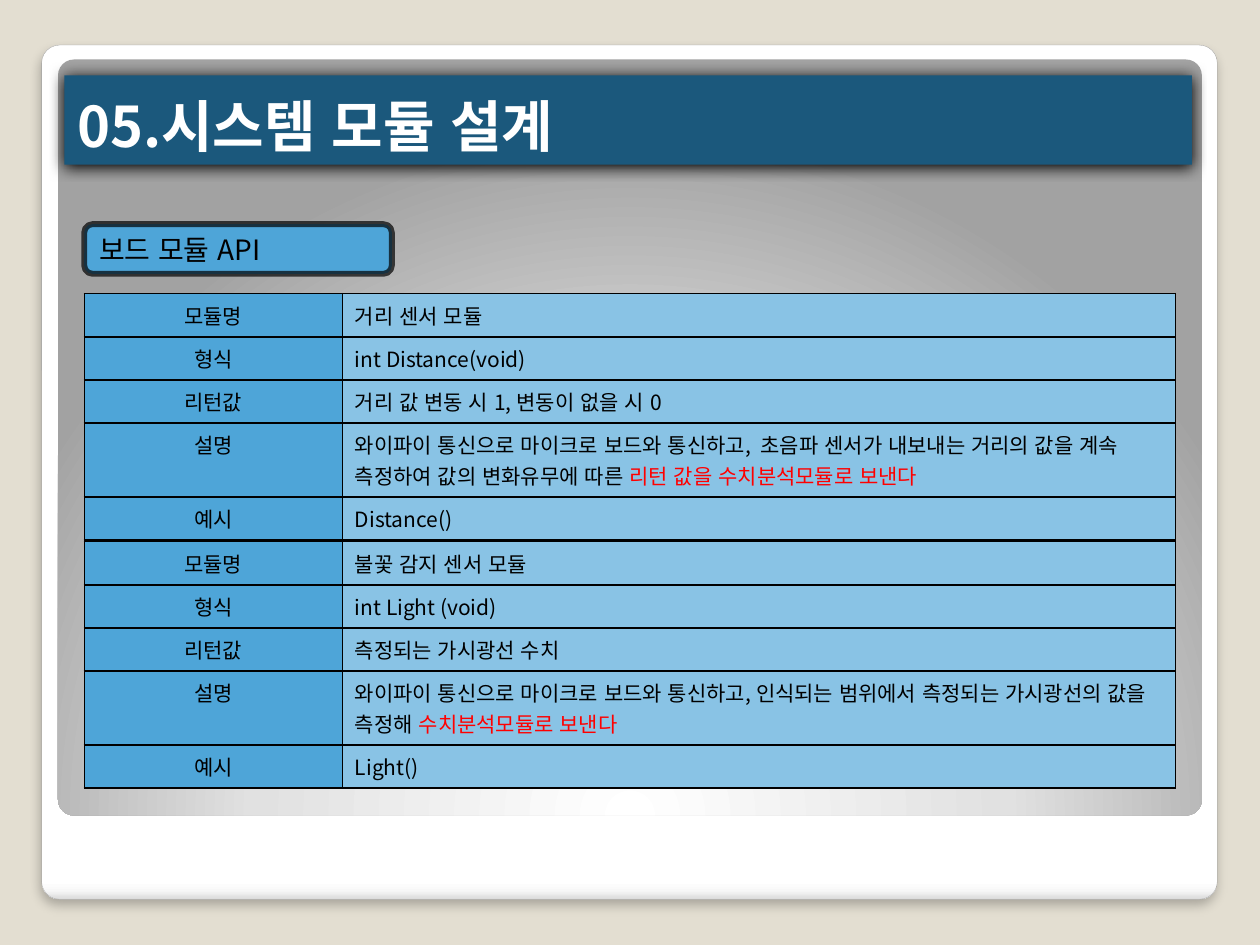
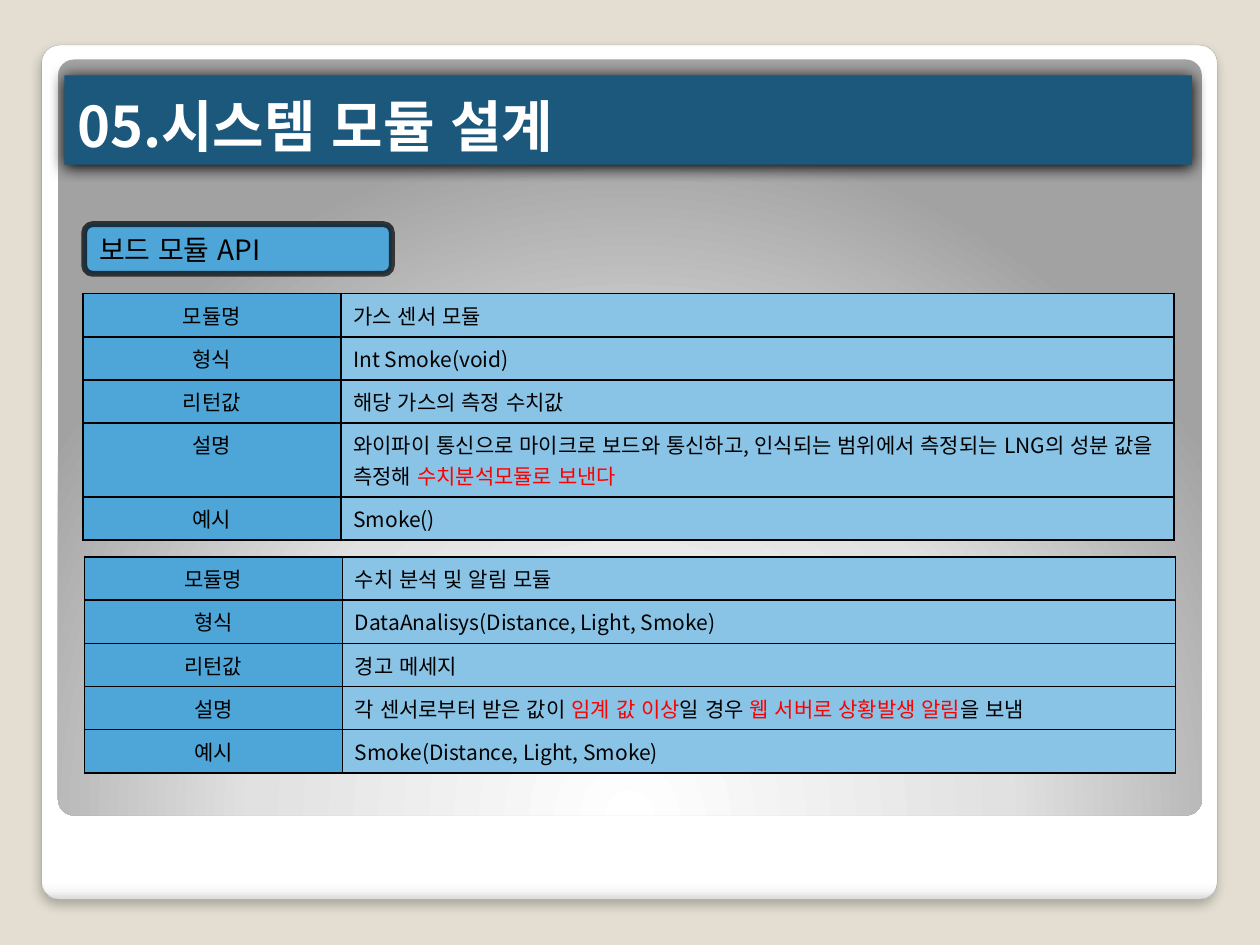
from typing import NamedTuple

from lxml.etree import SubElement
from pptx import Presentation
from pptx.dml.color import RGBColor
from pptx.enum.lang import MSO_LANGUAGE_ID as Language
from pptx.enum.shapes import MSO_SHAPE as Preset
from pptx.enum.text import MSO_ANCHOR as Anchor, MSO_AUTO_SIZE as AutoSize, PP_ALIGN as Align
from pptx.oxml import parse_xml
from pptx.oxml.ns import nsdecls, qn
from pptx.util import Cm, Pt

FONT = "Noto Sans CJK KR"
BLACK, WHITE, RED = "000000", "FFFFFF", "FF0000"
BACKDROP, NAVY, BLUE, PALE = "E3DED1", "1B587C", "4EA5D8", "89C3E5"
HEADING = "05.시스템 모듈 설계"
SECTION = "보드 모듈 API"
FIELDS = ("모듈명", "형식", "리턴값", "설명", "예시")
CONNECTION = "와이파이 통신으로 마이크로 보드와 통신하고,"
COLUMNS = (5.2, 16.8)
LINE_HEIGHT, CELL_PADDING = 0.62, 0.25


class Box(NamedTuple):
    left: float
    top: float
    width: float
    height: float

    def lengths(self) -> tuple:
        return tuple(Cm(value) for value in self)


class Shadow(NamedTuple):
    opacity: int
    blur: float
    distance: float


class Panel(NamedTuple):
    box: Box
    stops: tuple
    direction: str
    outline: str | None = None
    shadow: Shadow | None = None


class Module(NamedTuple):
    left: float
    top: float
    values: tuple
    description_lines: int = 2


TITLE_BOX = Box(1.3, 1.52, 22.73, 1.8)
SECTION_BOX = Box(1.7, 4.52, 6.2, 1)
PANELS = (
    Panel(Box(0.84, 0.91, 23.7, 17.22),
          ((0, WHITE), (98, WHITE), (99, "F7F7F7"), (100, "DADADA")),
          '<a:lin ang="5400000" scaled="0"/>', "A4A4A4", Shadow(25, 6, 4)),
    Panel(Box(1.17, 1.2, 23.06, 15.24),
          ((0, WHITE), (55, "E1E1E1"), (100, "A2A2A2")),
          '<a:path path="circle"><a:fillToRect l="50000" t="175000" r="50000" b="-75000"/></a:path>'),
)
PAGES = (
    (
        Module(1.7, 5.92, (
            "거리 센서 모듈",
            "int Distance(void)",
            "거리 값 변동 시 1, 변동이 없을 시 0",
            f"{CONNECTION}  초음파 센서가 내보내는 거리의 값을 계속 "
            "측정하여 값의 변화유무에 따른 |리턴 값을 수치분석모듈로 보낸다",
            "Distance()")),
        Module(1.7, 10.92, (
            "불꽃 감지 센서 모듈",
            "int Light (void)",
            "측정되는 가시광선 수치",
            f"{CONNECTION} 인식되는 범위에서 측정되는 가시광선의 값을 "
            "측정해 |수치분석모듈로 보낸다",
            "Light()")),
    ),
    (
        Module(1.67, 5.92, (
            "가스 센서 모듈",
            "Int Smoke(void)",
            "해당 가스의 측정 수치값",
            f"{CONNECTION} 인식되는 범위에서 측정되는 LNG의 성분 "
            "값을 측정해 |수치분석모듈로 보낸다",
            "Smoke()")),
        Module(1.7, 11.23, (
            "수치 분석 및 알림 모듈",
            "DataAnalisys(Distance, Light, Smoke)",
            "경고 메세지",
            "각 센서로부터 받은 값이 |임계 값 이상|일 경우 |웹 서버로 상황발생 알림|을 보냄",
            "Smoke(Distance, Light, Smoke)"), description_lines=1),
    ),
)


def rgb(color: str) -> RGBColor:
    return RGBColor.from_string(color)


def paint(target, color: str) -> None:
    target.fill.solid()
    target.fill.fore_color.rgb = rgb(color)


def write(frame, text: str, *, size: float, color: str = BLACK, bold: bool = False,
          align: Align = Align.LEFT) -> None:
    para = frame.paragraphs[0]
    para.alignment = align
    for index, part in enumerate(text.split("|")):
        span = para.add_run()
        span.text = part
        font = span.font
        font.name, font.size, font.bold = FONT, Pt(size), bold
        font.language_id = Language.KOREAN
        font.color.rgb = rgb(RED if index % 2 else color)
        SubElement(font._element, qn("a:ea"), typeface=FONT)


def add_shadow(shape, shadow: Shadow) -> None:
    shape.shadow.inherit = False
    effects = shape.element.spPr.find(qn("a:effectLst"))
    effects.append(parse_xml(
        f'<a:outerShdw {nsdecls("a")} blurRad="{Pt(shadow.blur)}" dist="{Pt(shadow.distance)}" '
        f'dir="5400000" algn="t" rotWithShape="0"><a:srgbClr val="{BLACK}">'
        f'<a:alpha val="{shadow.opacity * 1000}"/></a:srgbClr></a:outerShdw>'))


def add_panel(page, panel: Panel):
    shape = page.shapes.add_shape(Preset.ROUNDED_RECTANGLE, *panel.box.lengths())
    shape.adjustments[0] = 0.021
    shape.shadow.inherit = False
    if panel.outline:
        shape.line.color.rgb = rgb(panel.outline)
        shape.line.width = Pt(0.16)
    else:
        shape.line.fill.background()
    if panel.shadow:
        add_shadow(shape, panel.shadow)
    stops = "".join(f'<a:gs pos="{place * 1000}"><a:srgbClr val="{color}"/></a:gs>'
                    for place, color in panel.stops)
    gradient = parse_xml(f'<a:gradFill {nsdecls("a")} rotWithShape="1"><a:gsLst>{stops}</a:gsLst>'
                         f'{panel.direction}</a:gradFill>')
    shape.fill.background()
    properties = shape.element.spPr
    properties.replace(properties.find(qn("a:noFill")), gradient)
    return shape


def move_to_master(deck, shapes: list) -> None:
    tree = deck.slide_master.shapes.element
    for index, shape in enumerate(shapes):
        shape.element.nvSpPr.cNvPr.set("id", str(100 + index))
        tree.insert(2 + index, shape.element)


def format_title(page) -> None:
    title = page.shapes.title
    title.left, title.top, title.width, title.height = TITLE_BOX.lengths()
    paint(title, NAVY)
    add_shadow(title, Shadow(100, 8.5, 1))
    title.text_frame.auto_size = AutoSize.NONE
    title.text_frame.vertical_anchor = Anchor.BOTTOM
    write(title.text_frame, HEADING, size=32, color=WHITE, bold=True)


def add_section_label(page) -> None:
    label = page.shapes.add_shape(Preset.ROUNDED_RECTANGLE, *SECTION_BOX.lengths())
    label.shadow.inherit = False
    paint(label, BLUE)
    label.line.color.rgb = rgb(BLACK)
    label.line.width = Pt(3.35)
    line_color = label.element.spPr.find(qn("a:ln")).find(".//" + qn("a:srgbClr"))
    SubElement(line_color, qn("a:alpha"), val="70000")
    label.text_frame.vertical_anchor = Anchor.MIDDLE
    write(label.text_frame, SECTION, size=16)


def format_cell(cell, text: str, fill: str, align: Align) -> None:
    properties = cell._tc.get_or_add_tcPr()
    for side in "LRTB":
        properties.append(parse_xml(
            f'<a:ln{side} {nsdecls("a")} w="{Pt(1)}"><a:solidFill><a:srgbClr val="{BLACK}"/>'
            f'</a:solidFill></a:ln{side}>'))
    paint(cell, fill)
    write(cell.text_frame, text, size=12, align=align)


def add_module_table(page, module: Module) -> None:
    heights = [CELL_PADDING + LINE_HEIGHT * (module.description_lines if field == "설명" else 1)
               for field in FIELDS]
    box = Box(module.left, module.top, sum(COLUMNS), sum(heights))
    table = page.shapes.add_table(len(FIELDS), len(COLUMNS), *box.lengths()).table
    table.first_row = table.horz_banding = False
    for column, width in zip(table.columns, COLUMNS):
        column.width = Cm(width)
    for row, height, field, value in zip(table.rows, heights, FIELDS, module.values):
        row.height = Cm(height)
        format_cell(row.cells[0], field, BLUE, Align.CENTER)
        format_cell(row.cells[1], value, PALE, Align.LEFT)


def main() -> None:
    deck = Presentation()
    deck.slide_width, deck.slide_height = Cm(25.4), Cm(19.05)
    paint(deck.slide_master.background, BACKDROP)
    title_only = deck.slide_layouts[5]
    pages = [deck.slides.add_slide(title_only) for _ in PAGES]
    move_to_master(deck, [add_panel(pages[0], panel) for panel in PANELS])
    for page, modules in zip(pages, PAGES):
        format_title(page)
        for module in modules:
            add_module_table(page, module)
        add_section_label(page)
    deck.save("out.pptx")


if __name__ == "__main__":
    main()
